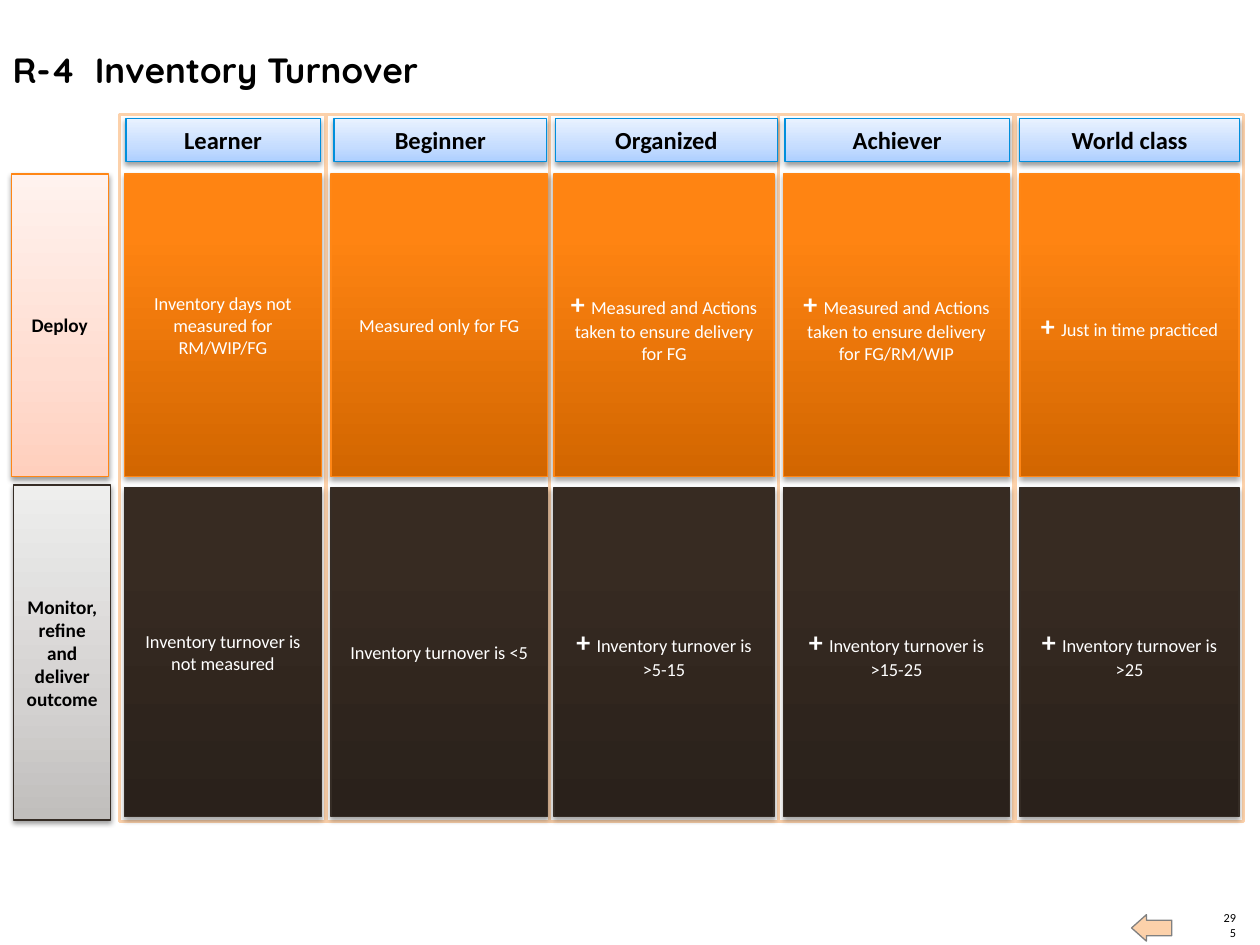
import copy
from dataclasses import dataclass

import pptx
import pptx.dml.color
import pptx.enum.shapes
import pptx.enum.text
import pptx.oxml
import pptx.oxml.ns
import pptx.util

Pt = pptx.util.Pt
SHAPES = pptx.enum.shapes.MSO_SHAPE
ALIGN = pptx.enum.text.PP_ALIGN
ANCHOR = pptx.enum.text.MSO_ANCHOR
qn = pptx.oxml.ns.qn


@dataclass(frozen=True)
class Style:
    """Look of a panel: gradient from bottom to top, outline, text and shadow."""
    stops: tuple
    outline: str
    text: str
    size: float
    bold: bool
    shadow_alpha: int
    shadow_distance: float


class Theme:
    title_font, body_font = "Quicksand", "Calibri"
    black, white, grey, peach = "000000", "FFFFFF", "808080", "FCD1AA"
    title_size, plus_size, page_size = 20, 16, 7
    header = Style(((0, "AECFFF"), (0.35, "C6DDFF"), (1, "E9F2FF")),
                   "008FDC", black, 14, True, 38, 1.6)
    deploy_label = Style(((0, "FFCFBD"), (0.35, "FFDDD1"), (1, "FFF2EE")),
                         "FF8615", black, 11, True, 38, 1.6)
    deploy_cell = Style(((0, "D26600"), (0.8, "FF8412"), (1, "FF8514")),
                        "FF8615", white, 10.5, False, 35, 1.8)
    monitor_label = Style(((0, "C0BEBC"), (0.35, "D3D1D0"), (1, "EEEEED")),
                          "352C25", black, 11, True, 38, 1.6)
    monitor_cell = Style(((0, "2A211B"), (0.8, "372B22"), (1, "372B22")),
                         "352C25", white, 10.5, False, 35, 1.8)


FRAME_TOP, FRAME_HEIGHT = 65.5, 404
HEADER_TOP, HEADER_HEIGHT = 67.7, 24.5
CELL_MARGIN = 2.6

# Maturity level, frame (left, width), header (left, width)
LEVELS = [
    ("Learner", (68.4, 118), (72, 111)),
    ("Beginner", (186.5, 129), (190.8, 121.7)),
    ("Organized", (314, 131), (317.5, 126.7)),
    ("Achiever", (445, 134.6), (448.6, 128.2)),
    ("World class", (580.3, 130.3), (582.5, 126)),
]

# Label, label box, label style, cell (top, height), cell style, cell texts
STAGES = [
    ("Deploy", (6.5, 99.4, 55.4, 172.8), Theme.deploy_label,
     (99.4, 172.8), Theme.deploy_cell,
     ["Inventory days not measured for RM/WIP/FG",
      "Measured only for FG",
      "+ Measured and Actions taken to ensure delivery for FG",
      "+ Measured and Actions taken to ensure delivery for FG/RM/WIP",
      "+ Just in time practiced"]),
    ("Monitor, refine and deliver outcome", (7.9, 277.2, 55.4, 191.5),
     Theme.monitor_label, (278.6, 188), Theme.monitor_cell,
     ["Inventory turnover is not measured",
      "Inventory turnover is <5",
      "+ Inventory turnover is >5-15",
      "+ Inventory turnover is >15-25",
      "+ Inventory turnover is >25"]),
]


def rgb(code):
    return pptx.dml.color.RGBColor.from_string(code)


def format_run(run, font, size, color, bold=False):
    run.font.name = font
    run.font.size = Pt(size)
    run.font.bold = bold
    run.font.color.rgb = rgb(color)


def add_plain_shape(slide, kind, box, fill, outline, line_width):
    shape = slide.shapes.add_shape(kind, *map(Pt, box))
    shape.shadow.inherit = False
    shape.fill.solid()
    shape.fill.fore_color.rgb = rgb(fill)
    shape.line.color.rgb = rgb(outline)
    shape.line.width = Pt(line_width)
    return shape


def apply_gradient(shape, stops):
    shape.fill.gradient()
    stop_list = shape._element.spPr.find(qn("a:gradFill")).find(qn("a:gsLst"))
    while len(stop_list) < len(stops):
        stop_list.append(copy.deepcopy(stop_list[0]))
    for stop, (position, color) in zip(shape.fill.gradient_stops, stops):
        stop.position = position
        stop.color.rgb = rgb(color)
    shape.fill.gradient_angle = 90


def apply_shadow(shape, style):
    effects = shape._element.spPr.find(qn("a:effectLst"))
    effects.append(pptx.oxml.parse_xml(
        f'<a:outerShdw {pptx.oxml.ns.nsdecls("a")} blurRad="{Pt(3.1)}" '
        f'dist="{Pt(style.shadow_distance)}" dir="5400000" rotWithShape="0">'
        f'<a:srgbClr val="{Theme.black}">'
        f'<a:alpha val="{style.shadow_alpha * 1000}"/></a:srgbClr></a:outerShdw>'))


def add_panel(slide, box, text, style):
    """Shaded box with centred text; a leading plus sign is set larger."""
    panel = add_plain_shape(slide, SHAPES.RECTANGLE, box,
                            Theme.white, style.outline, 0.75)
    apply_gradient(panel, style.stops)
    apply_shadow(panel, style)
    panel.text_frame.word_wrap = True
    panel.text_frame.vertical_anchor = ANCHOR.MIDDLE
    paragraph = panel.text_frame.paragraphs[0]
    paragraph.alignment = ALIGN.CENTER
    if text.startswith("+ "):
        plus = paragraph.add_run()
        plus.text = "+ "
        format_run(plus, Theme.body_font, Theme.plus_size, style.text, True)
    wording = paragraph.add_run()
    wording.text = text.removeprefix("+ ")
    format_run(wording, Theme.body_font, style.size, style.text, style.bold)


def add_title(slide, text):
    title = slide.shapes.title
    title.left, title.top, title.width, title.height = map(Pt, (0, 23.8, 619, 31.7))
    frame = title.text_frame
    frame.text = text
    frame.auto_size = pptx.enum.text.MSO_AUTO_SIZE.NONE
    frame.vertical_anchor = ANCHOR.MIDDLE
    paragraph = frame.paragraphs[0]
    # Tab stop between the code and the name
    properties = paragraph._p.get_or_add_pPr()
    properties.append(pptx.oxml.parse_xml(
        f'<a:tabLst {pptx.oxml.ns.nsdecls("a")}>'
        f'<a:tab pos="{Pt(47)}" algn="l"/></a:tabLst>'))
    paragraph.alignment = ALIGN.LEFT
    for run in paragraph.runs:
        format_run(run, Theme.title_font, Theme.title_size, Theme.black, True)


def add_page_number(slide, number):
    page = slide.shapes.add_textbox(*map(Pt, (697.7, 520, 8.6, 17.2)))
    frame = page.text_frame
    frame.text = number
    frame.word_wrap = True
    frame.vertical_anchor = ANCHOR.BOTTOM
    frame.margin_left = frame.margin_right = frame.margin_top = frame.margin_bottom = 0
    frame.paragraphs[0].alignment = ALIGN.RIGHT
    format_run(frame.paragraphs[0].runs[0], Theme.body_font, Theme.page_size, Theme.black)


def add_back_arrow(slide):
    arrow = add_plain_shape(slide, SHAPES.RIGHT_ARROW, (646.6, 522.7, 23, 15.1),
                            Theme.peach, Theme.grey, 0.75)
    arrow.rotation = 180
    arrow.adjustments[0], arrow.adjustments[1] = 0.59, 0.56


def main():
    deck = pptx.Presentation()
    deck.slide_width, deck.slide_height = Pt(720), Pt(540)
    slide = deck.slides.add_slide(deck.slide_layouts[5])

    # Title and footer
    add_title(slide, "R-4\tInventory Turnover")
    add_page_number(slide, "295")
    add_back_arrow(slide)

    # Column frames, then their headers
    for _, (left, width), _ in LEVELS:
        add_plain_shape(slide, SHAPES.RECTANGLE, (left, FRAME_TOP, width, FRAME_HEIGHT),
                        Theme.white, Theme.peach, 2)
    for level, _, (left, width) in LEVELS:
        add_panel(slide, (left, HEADER_TOP, width, HEADER_HEIGHT), level, Theme.header)

    # Stage rows: label and one cell per level
    for label, label_box, label_style, (top, height), cell_style, texts in STAGES:
        add_panel(slide, label_box, label, label_style)
        for (_, (left, width), _), text in zip(LEVELS, texts):
            add_panel(slide, (left + CELL_MARGIN, top, width - 2 * CELL_MARGIN, height),
                      text, cell_style)

    deck.save("out.pptx")


if __name__ == "__main__":
    main()
